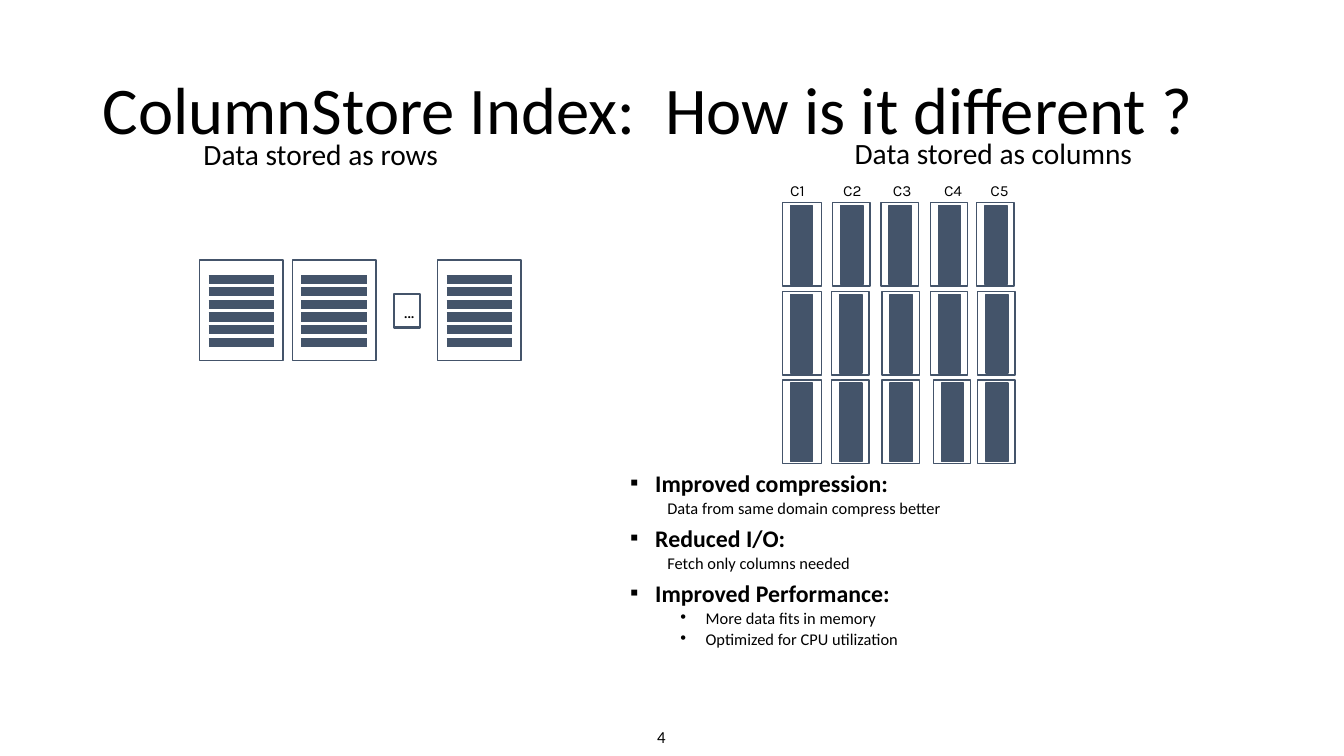
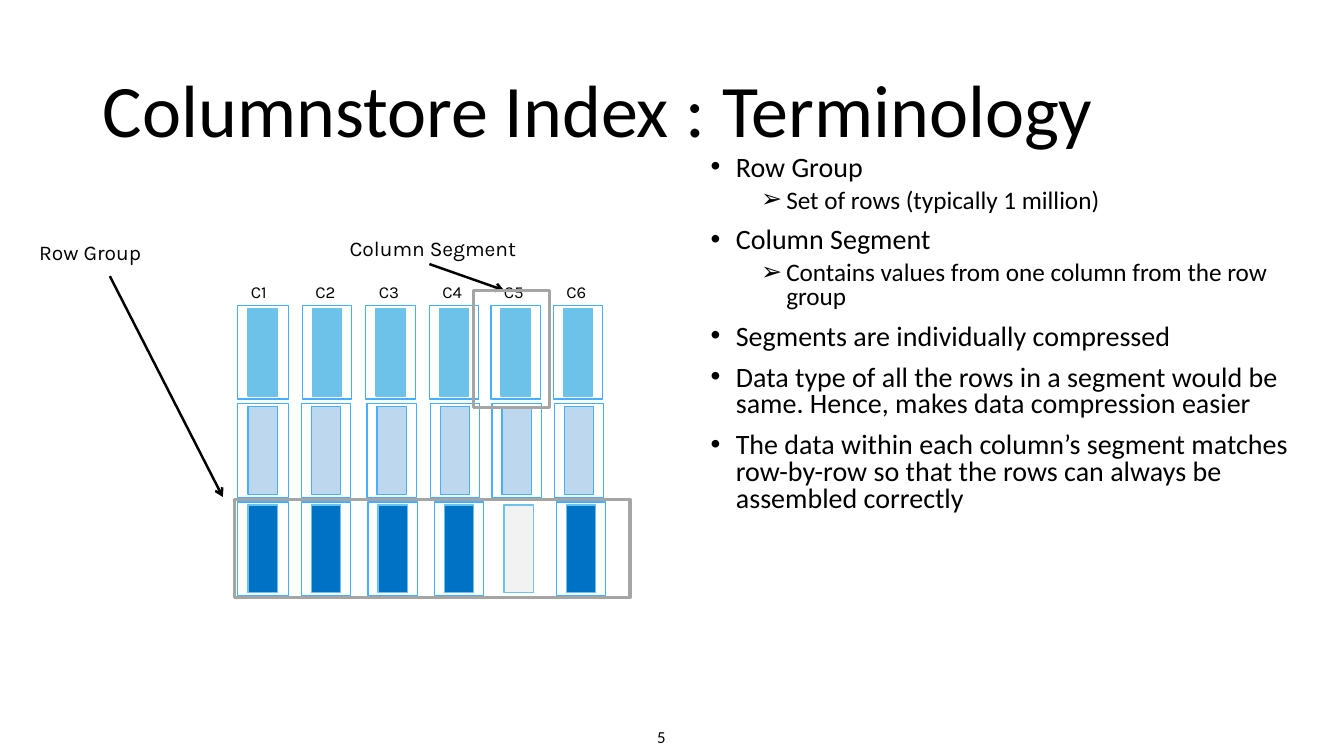
from dataclasses import dataclass
from typing import Optional

from lxml import etree
from pptx import Presentation
from pptx import util as u
from pptx.dml.color import RGBColor
from pptx.enum import shapes, text
from pptx.oxml.ns import qn
from pptx.slide import Slide

# The grid: square cells a tenth of an inch wide; every length below counts cells.
CELL = u.Inches(0.1)
SLIDE_COLS, SLIDE_ROWS = 133.33, 75

BLACK = RGBColor(0x00, 0x00, 0x00)
SLATE = RGBColor(0x44, 0x54, 0x6A)
SKY = RGBColor(0x6D, 0xC2, 0xE9)
PALE_BLUE = RGBColor(0xBD, 0xD7, 0xEE)
BRIGHT_BLUE = RGBColor(0x44, 0xB0, 0xFF)
DEEP_BLUE = RGBColor(0x00, 0x72, 0xC6)
LIGHT_GRAY = RGBColor(0xF3, 0xF2, 0xF2)
GRAY = RGBColor(0xA5, 0xA5, 0xA5)

BODY_FONT, DIAGRAM_FONT = "Calibri", "Karla"
LEFT, CENTER, RIGHT = text.PP_ALIGN.LEFT, text.PP_ALIGN.CENTER, text.PP_ALIGN.RIGHT


@dataclass(frozen=True)
class Box:
    """A rectangle on the grid."""
    col: float
    row: float
    cols: float
    rows: float

    def emu(self) -> list[int]:
        """Return left, top, width and height in EMU."""
        return [cells(n) for n in (self.col, self.row, self.cols, self.rows)]


@dataclass(frozen=True)
class ListStyle:
    """Format of one kind of list item; indents are in cells."""
    size: float
    margin: float
    hanging: float
    before: float
    bullet: Optional[str] = None
    level: int = 0
    bold: bool = False


@dataclass(frozen=True)
class Column:
    """A table column: left edge of its segment in each row group."""
    label: str
    label_cols: float
    lefts: tuple[float, float, float]
    cols: float


@dataclass(frozen=True)
class Segments:
    """Measures and colours of a block of column segments."""
    top: float
    pitch: float
    frame_rows: float
    bar_inset: float
    bar_cols: float
    bar_rows: float
    bar_fills: tuple[RGBColor, ...]
    bar_lines: tuple[RGBColor, ...]
    frame_line: RGBColor
    weight: float
    label_row: float
    label_shift: float
    label_size: float
    label_align: text.PP_ALIGN
    label_inset: float


TITLE = Box(9.2, 4, 115, 14.5)
PAGE_NUMBER = Box(64.2, 71.6, 4, 3)

BENEFIT = ListStyle(17, 2.5, -2.5, 10, "▪", bold=True)
REASON = ListStyle(11.7, 3.7, 0, 5, level=1)
REASON_POINT = ListStyle(11.7, 7.5, -2.5, 5, "•", level=1)
TERM = ListStyle(20, 2.5, -2.5, 10, "•")
MEANING = ListStyle(18, 7.5, -2.5, 5, "➢", level=1)

BENEFITS = [
    (BENEFIT, "Improved compression:"),
    (REASON, "Data from same domain compress better"),
    (BENEFIT, "Reduced I/O:"),
    (REASON, "Fetch only columns needed"),
    (BENEFIT, "Improved Performance:"),
    (REASON_POINT, "More data fits in memory"),
    (REASON_POINT, "Optimized for CPU utilization"),
]
TERMS = [
    (TERM, "Row Group"),
    (MEANING, "Set of rows (typically 1 million)"),
    (TERM, "Column Segment"),
    (MEANING, "Contains values from one column from the row group"),
    (TERM, "Segments are individually compressed"),
    (TERM, "Data type of all the rows in a segment would be same. "
           "Hence, makes data compression easier"),
    (TERM, "The data within each column’s segment matches row-by-row "
           "so that the rows can always be assembled correctly"),
]

STORED_COLUMNS = [
    Column("C1", 3.2, (77.6, 77.6, 77.6), 3.9),
    Column("C2", 4.1, (82.6, 82.5, 82.5), 3.7),
    Column("C3", 4.4, (87.4, 87.5, 87.5), 3.7),
    Column("C4", 4.7, (92.3, 92.3, 92.6), 3.7),
    Column("C5", 4.7, (96.9, 97, 97), 3.7),
]
STORED = Segments(
    top=20.1, pitch=8.8, frame_rows=8.3, bar_inset=0.8, bar_cols=2.2, bar_rows=7.8,
    bar_fills=(SLATE,) * 3, bar_lines=(SLATE,) * 3, frame_line=SLATE, weight=1,
    label_row=17.5, label_shift=-0.1, label_size=11, label_align=CENTER, label_inset=0)

TERM_COLUMNS = [
    Column("C1", 4, (23.6, 23.6, 23.6), 5),
    Column("C2", 5.3, (30, 29.9, 29.9), 4.9),
    Column("C3", 5.8, (36.3, 36.4, 36.5), 4.9),
    Column("C4", 6.1, (42.6, 42.7, 43.1), 4.9),
    Column("C5", 6.2, (48.7, 48.8, 49), 4.9),
    Column("C6", 7.3, (54.9, 55, 55.2), 4.9),
]
TERM_SEGMENTS = Segments(
    top=30.3, pitch=9.75, frame_rows=9.3, bar_inset=1, bar_cols=2.9, bar_rows=8.7,
    bar_fills=(SKY, PALE_BLUE, DEEP_BLUE), bar_lines=(SKY, BRIGHT_BLUE, SKY),
    frame_line=BRIGHT_BLUE, weight=0.85,
    label_row=27.5, label_shift=0.3, label_size=12, label_align=LEFT, label_inset=1)
FADED_SEGMENT = ("C5", 2)  # drawn light and without its frame


def cells(count: float) -> int:
    """Convert grid cells to EMU."""
    return round(count * CELL)


def write(paragraph, words: str, *, size: float, font: str = BODY_FONT,
          bold: bool = False, align: text.PP_ALIGN = LEFT,
          spacing: Optional[float] = None, before: float = 0) -> None:
    """Put one formatted run into a paragraph."""
    paragraph.alignment = align
    paragraph.space_before = u.Pt(before)
    if spacing:
        paragraph.line_spacing = spacing
    run = paragraph.add_run()
    run.text = words
    run.font.name, run.font.size, run.font.bold = font, u.Pt(size), bold
    run.font.color.rgb = BLACK


def label(slide: Slide, box: Box, words: str, *, wrap: bool = True,
          inset: float = 1, **style) -> None:
    """Add a text box holding one paragraph."""
    frame = slide.shapes.add_textbox(*box.emu()).text_frame
    frame.word_wrap = wrap
    frame.margin_left = frame.margin_right = cells(inset)
    write(frame.paragraphs[0], words, **style)


def rectangle(slide: Slide, box: Box, line: RGBColor, weight: float,
              fill: Optional[RGBColor] = None):
    """Add an outlined rectangle, hollow unless a fill is given."""
    shape = slide.shapes.add_shape(shapes.MSO_SHAPE.RECTANGLE, *box.emu())
    shape.shadow.inherit = False
    shape.line.color.rgb, shape.line.width = line, u.Pt(weight)
    if fill is None:
        shape.fill.background()
    else:
        shape.fill.solid()
        shape.fill.fore_color.rgb = fill
    return shape


def stroke(slide: Slide, start: tuple[float, float], end: tuple[float, float],
           color: RGBColor, weight: float, arrow: bool = False) -> None:
    """Add a straight line, with an arrowhead at its end on request."""
    line = slide.shapes.add_connector(
        shapes.MSO_CONNECTOR.STRAIGHT, *map(cells, (*start, *end)))
    line.line.color.rgb, line.line.width = color, u.Pt(weight)
    if arrow:
        etree.SubElement(line.line._get_or_add_ln(), qn("a:tailEnd"), type="arrow")
    etree.SubElement(line._element.spPr, qn("a:effectLst"))


def set_bullet(paragraph, style: ListStyle) -> None:
    """Give a list item its indents and its bullet, or none."""
    props = paragraph._p.get_or_add_pPr()
    props.set("marL", str(cells(style.margin)))
    props.set("indent", str(cells(style.hanging)))
    if style.bullet:
        etree.SubElement(props, qn("a:buFont"), typeface="Arial")
        etree.SubElement(props, qn("a:buChar"), char=style.bullet)
    else:
        etree.SubElement(props, qn("a:buNone"))


def place(placeholder, box: Box, anchor: text.MSO_ANCHOR):
    """Move a placeholder and return its emptied text frame."""
    placeholder.left, placeholder.top, placeholder.width, placeholder.height = box.emu()
    frame = placeholder.text_frame
    frame.auto_size = text.MSO_AUTO_SIZE.NONE
    frame.vertical_anchor = anchor
    return frame


def start_slide(deck, title: str, title_size: float, number: int) -> Slide:
    """Add a slide with its title and page number."""
    slide = deck.slides.add_slide(deck.slide_layouts[1])
    heading = place(slide.shapes.title, TITLE, text.MSO_ANCHOR.MIDDLE)
    write(heading.paragraphs[0], title, size=title_size, spacing=0.9)
    label(slide, PAGE_NUMBER, str(number), wrap=False, size=12)
    return slide


def fill_list(slide: Slide, box: Box, items: list[tuple[ListStyle, str]],
              spacing: float) -> None:
    """Write the items into the body placeholder."""
    body = place(slide.placeholders[1], box, text.MSO_ANCHOR.TOP)
    for index, (style, words) in enumerate(items):
        item = body.add_paragraph() if index else body.paragraphs[0]
        item.level = style.level
        write(item, words, size=style.size, bold=style.bold,
              spacing=spacing, before=style.before)
        set_bullet(item, style)


def draw_segments(slide: Slide, columns: list[Column], look: Segments,
                  faded: Optional[tuple[str, int]] = None) -> None:
    """Draw labelled columns, each cut into one segment per row group."""
    for column in columns:
        label(slide, Box(column.lefts[0] + look.label_shift, look.label_row,
                         column.label_cols, 3), column.label,
              inset=look.label_inset, size=look.label_size,
              font=DIAGRAM_FONT, align=look.label_align)
        for group, left in enumerate(column.lefts):
            top = look.top + group * look.pitch
            is_faded = (column.label, group) == faded
            rectangle(slide, Box(left + look.bar_inset, top + 0.3,
                                 look.bar_cols, look.bar_rows),
                      look.bar_lines[group], look.weight,
                      LIGHT_GRAY if is_faded else look.bar_fills[group])
            if not is_faded:
                rectangle(slide, Box(left, top, column.cols, look.frame_rows),
                          look.frame_line, look.weight)


def draw_row_page(slide: Slide, left: float) -> None:
    """Draw a page holding six stored rows."""
    rectangle(slide, Box(left, 25.8, 8.3, 10), SLATE, 1)
    for index in range(6):
        row = 27.7 + index * 1.25
        stroke(slide, (left + 0.9, row), (left + 7.4, row), SLATE, 6.5)


def build_difference(deck) -> None:
    """Compare row storage with column storage."""
    slide = start_slide(deck, "ColumnStore Index:  How is it different ?", 47.6, 4)
    fill_list(slide, Box(61.5, 46.8, 53.4, 18.5), BENEFITS, 0.7)
    for left in (19.8, 29, 43.4):
        draw_row_page(slide, left)
    more_pages = rectangle(slide, Box(39.1, 29.2, 2.6, 3.3), SLATE, 1.5).text_frame
    more_pages.vertical_anchor = text.MSO_ANCHOR.TOP
    write(more_pages.paragraphs[0], "…", size=13.5, font=DIAGRAM_FONT)
    draw_segments(slide, STORED_COLUMNS, STORED)
    label(slide, Box(19.2, 13.4, 31.9, 3.6), "Data stored as rows",
          size=21, spacing=0.9)
    label(slide, Box(75.6, 13.3, 37.7, 3.6), "Data stored as columns",
          size=21, spacing=0.9, align=RIGHT)


def build_terminology(deck) -> None:
    """Explain row groups and column segments."""
    slide = start_slide(deck, "Columnstore Index : Terminology", 52.9, 5)
    fill_list(slide, Box(69.5, 15, 62.5, 39.6), TERMS, 0.8)
    draw_segments(slide, TERM_COLUMNS, TERM_SEGMENTS, FADED_SEGMENT)
    stroke(slide, (42.6, 26.2), (50, 28.8), BLACK, 1.75, arrow=True)
    stroke(slide, (10.9, 27.4), (22.1, 49.3), BLACK, 1.75, arrow=True)
    for marked in (Box(23.3, 49.6, 39.2, 9.7), Box(47, 28.8, 7.5, 11.6)):
        rectangle(slide, marked, GRAY, 2.25)
    label(slide, Box(33.7, 22.9, 25.5, 3.6), "Column Segment",
          size=15, font=DIAGRAM_FONT)
    label(slide, Box(2.9, 23.3, 17.3, 3.6), "Row Group", size=15, font=DIAGRAM_FONT)


presentation = Presentation()
presentation.slide_width = cells(SLIDE_COLS)
presentation.slide_height = cells(SLIDE_ROWS)
build_difference(presentation)
build_terminology(presentation)
presentation.save("out.pptx")
